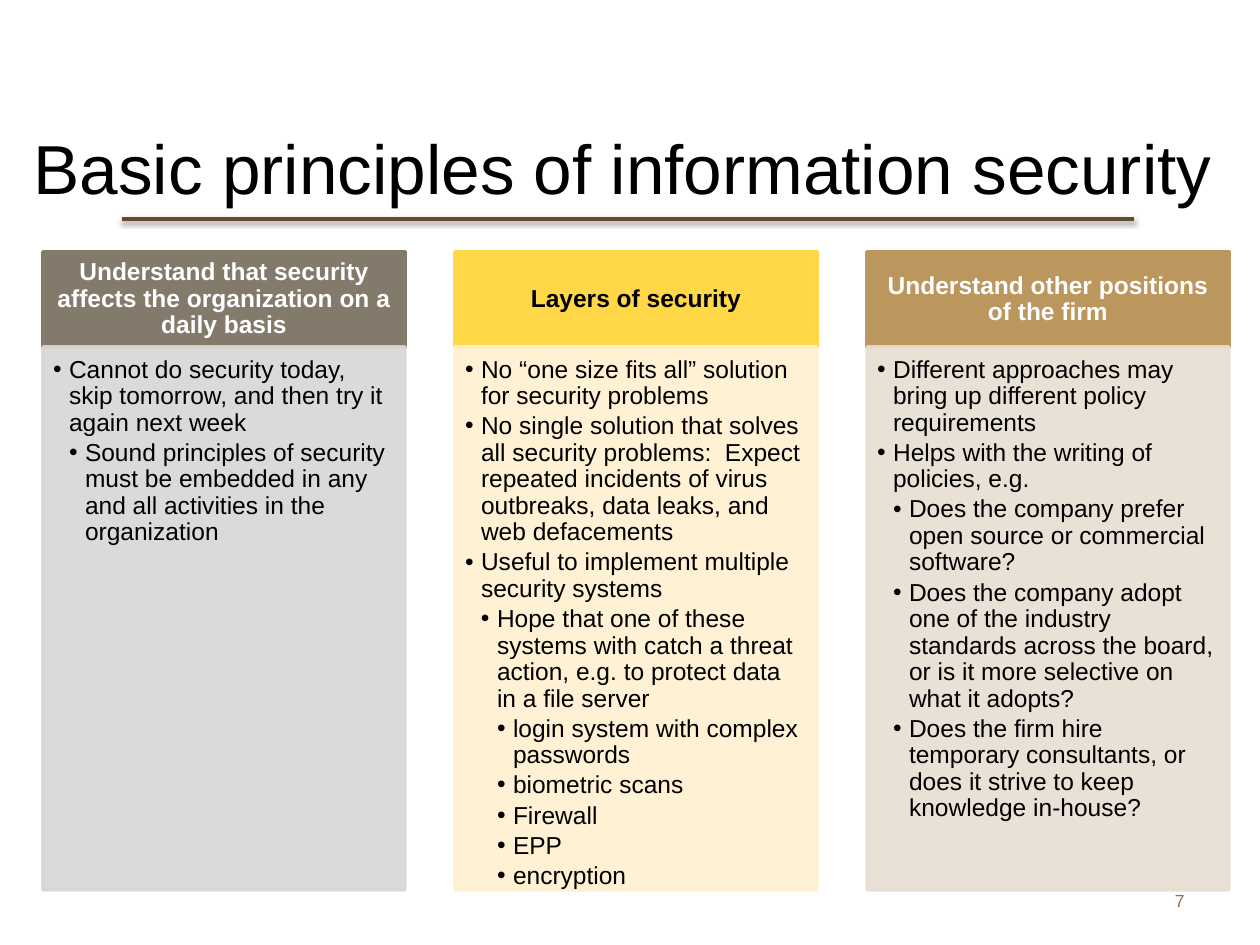
from lxml import etree
from pptx import Presentation
from pptx import util as u
from pptx.dml.color import RGBColor
from pptx.enum import shapes, text
from pptx.oxml import ns

SCALE = 914400 / 126
BLACK = RGBColor(0x00, 0x00, 0x00)
WHITE = RGBColor(0xFF, 0xFF, 0xFF)
BROWN = RGBColor(0x63, 0x4D, 0x2A)
TAN = RGBColor(0x8F, 0x6F, 0x52)
GRAY = RGBColor(0x84, 0x7A, 0x6C)
PALE = RGBColor(0xD9, 0xD7, 0xD4)
GOLD = RGBColor(0xFF, 0xD7, 0x47)
CREAM = RGBColor(0xFF, 0xF0, 0xCF)
OCHRE = RGBColor(0xBB, 0x97, 0x5E)
SAND = RGBColor(0xE7, 0xDD, 0xD2)

COLUMNS = [
    ("Understand that security affects the organization on a daily basis",
     WHITE, GRAY, PALE, [
         (1, "Cannot do security today, skip tomorrow, and then try it again next week"),
         (2, "Sound principles of security must be embedded in any and all "
             "activities in the organization"),
     ]),
    ("Layers of security", BLACK, GOLD, CREAM, [
        (1, "No “one size fits all” solution for security problems"),
        (1, "No single solution that solves all security problems:  Expect repeated "
            "incidents of virus outbreaks, data leaks, and web defacements"),
        (1, "Useful to implement multiple security systems"),
        (2, "Hope that one of these systems with catch a threat action, e.g. to "
            "protect data in a file server"),
        (3, "login system with complex passwords"),
        (3, "biometric scans"),
        (3, "Firewall"),
        (3, "EPP"),
        (3, "encryption"),
    ]),
    ("Understand other positions of the firm", WHITE, OCHRE, SAND, [
        (1, "Different approaches may bring up different policy requirements"),
        (1, "Helps with the writing of policies, e.g."),
        (2, "Does the company prefer open source or commercial software?"),
        (2, "Does the company adopt one of the industry standards across the board, "
            "or is it more selective on what it adopts?"),
        (2, "Does the firm hire temporary consultants, or does it strive to keep "
            "knowledge in-house?"),
    ]),
]


def px(n):
    return u.Emu(round(n * SCALE))


def apply(obj, **vals):
    for key, val in vals.items():
        setattr(obj, key, val)


def sub(node, tag, **vals):
    return etree.SubElement(node, ns.qn(tag), vals)


def write(par, words, size, color, bold=False):
    run = par.add_run()
    run.text = words
    apply(run.font, name="Arial", size=u.Pt(size), bold=bold)
    run.font.color.rgb = color


def fade(shape):
    for node in shape._element.spPr.iter(ns.qn("a:srgbClr")):
        sub(node, "a:alpha", val="90000")


def panel(slide, box, color, pads, anchor):
    shape = slide.shapes.add_shape(shapes.MSO_SHAPE.RECTANGLE, *map(px, box))
    shape.shadow.inherit = False
    shape.fill.solid()
    shape.fill.fore_color.rgb = color
    shape.line.color.rgb = color
    shape.line.width = u.Pt(2)
    left, top, right, bottom = map(px, pads)
    apply(shape.text_frame, word_wrap=True, vertical_anchor=anchor,
          margin_left=left, margin_top=top, margin_right=right, margin_bottom=bottom)
    return shape


def bullet(par, level):
    par.level = level
    props = par._p.get_or_add_pPr()
    props.set("marL", str(px(16 * level)))
    props.set("indent", str(px(-16)))
    sub(props, "a:buFont", typeface="Arial")
    sub(props, "a:buChar", char="•")


def column(slide, box, head, ink, dark, light, items):
    left, top, width, height = box
    cap = 95
    shape = panel(slide, (left, top, width, cap), dark, (14, 8, 14, 8),
                  text.MSO_ANCHOR.MIDDLE)
    par = shape.text_frame.paragraphs[0]
    apply(par, alignment=text.PP_ALIGN.CENTER, line_spacing=0.9, space_after=u.Pt(4.9))
    write(par, head, 14, ink, True)

    shape = panel(slide, (left, top + cap, width, height - cap), light,
                  (10, 10, 14, 15), text.MSO_ANCHOR.TOP)
    fade(shape)
    frame = shape.text_frame
    for i, (level, words) in enumerate(items):
        par = frame.add_paragraph() if i else frame.paragraphs[0]
        apply(par, alignment=text.PP_ALIGN.LEFT, line_spacing=0.9, space_after=u.Pt(2.1))
        bullet(par, level)
        write(par, words, 14, BLACK)


def title(slide, box):
    shape = slide.shapes.title
    left, top, width, height = map(px, box)
    apply(shape, left=left, top=top, width=width, height=height)
    apply(shape.text_frame, word_wrap=True, auto_size=text.MSO_AUTO_SIZE.NONE,
          vertical_anchor=text.MSO_ANCHOR.MIDDLE)
    par = shape.text_frame.paragraphs[0]
    par.alignment = text.PP_ALIGN.LEFT
    write(par, "Basic principles of information security", 39.6, BLACK)


def rule(slide, left, right, y):
    line = slide.shapes.add_connector(
        shapes.MSO_CONNECTOR.STRAIGHT, px(left), px(y), px(right), px(y))
    line.line.color.rgb = BROWN
    line.line.width = u.Pt(2)
    glow = sub(sub(line._element.spPr, "a:effectLst"), "a:outerShdw",
               blurRad=str(u.Pt(3.1)), dist=str(u.Pt(1.6)), dir="5400000",
               rotWithShape="0")
    sub(sub(glow, "a:srgbClr", val=str(BLACK)), "a:alpha", val="38000")


def number(slide, box):
    frame = slide.shapes.add_textbox(*map(px, box)).text_frame
    apply(frame, word_wrap=True, vertical_anchor=text.MSO_ANCHOR.MIDDLE)
    par = frame.paragraphs[0]
    par.alignment = text.PP_ALIGN.RIGHT
    write(par, "7", 10, TAN)


def main():
    deck = Presentation()
    apply(deck, slide_width=px(1260), slide_height=px(945))
    slide = deck.slides.add_slide(deck.slide_layouts[5])
    rule(slide, 122, 1134, 219)
    number(slide, (903, 876, 294, 50))
    title(slide, (21, 113, 1218, 107))
    for i, parts in enumerate(COLUMNS):
        column(slide, (43 + 412 * i, 252, 362, 638), *parts)
    deck.save("out.pptx")


if __name__ == "__main__":
    main()
